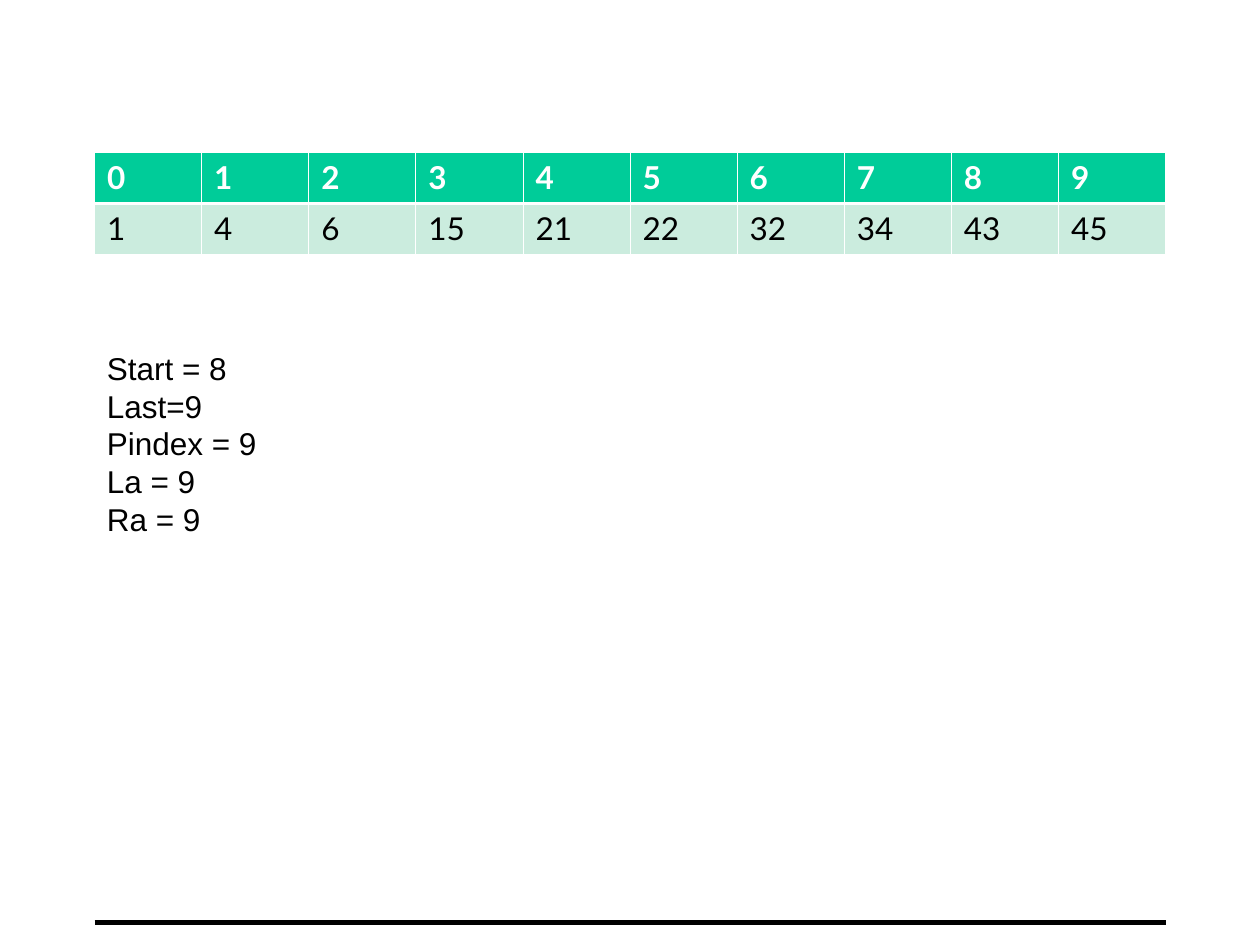
from lxml import etree
from pptx import Presentation
from pptx import util as u
from pptx.dml.color import RGBColor
from pptx.enum import shapes
from pptx.oxml import ns

COLORS = {"ink": "000000", "paper": "FFFFFF", "header": "00CC99", "band": "CBECDE"}
VALUES = [1, 4, 6, 15, 21, 22, 32, 34, 43, 45]
STATE = ["Start = 8", "Last=9", "Pindex = 9", "La = 9", "Ra = 9"]


def color(name):
    return RGBColor.from_string(COLORS[name])


def add_run(p, content, font, ink, bold=False):
    r = p.add_run()
    r.text = content
    r.font.name = font
    r.font.size = u.Pt(18)
    r.font.bold = bold
    r.font.color.rgb = color(ink)


def set_borders(cell, widths):
    tc_pr = cell._tc.get_or_add_tcPr()
    for side, width in widths.items():
        ln = etree.SubElement(tc_pr, ns.qn(f"a:ln{side}"), w=str(u.Pt(width)))
        fill = etree.SubElement(ln, ns.qn("a:solidFill"))
        etree.SubElement(fill, ns.qn("a:srgbClr"), val=COLORS["paper"])


def add_footer_rule(s, left, top, width):
    line = s.shapes.add_connector(
        shapes.MSO_CONNECTOR.STRAIGHT, left, top, left + width, top)
    line.line.color.rgb = color("ink")
    line.line.width = u.Pt(3)
    etree.SubElement(line._element.spPr, ns.qn("a:effectLst"))


def add_array_table(s, left, top, width, height):
    thin, thick = 0.45, 1.47
    rows = [
        (range(len(VALUES)), "header", "paper", True, thin, thick),
        (VALUES, "band", "ink", False, thick, thin),
    ]
    table = s.shapes.add_table(len(rows), len(VALUES), left, top, width, height).table
    for i, (numbers, fill, ink, bold, above, below) in enumerate(rows):
        for j, number in enumerate(numbers):
            cell = table.cell(i, j)
            set_borders(cell, {"L": thin, "R": thin, "T": above, "B": below})
            cell.fill.solid()
            cell.fill.fore_color.rgb = color(fill)
            add_run(cell.text_frame.paragraphs[0], str(number), "Lato", ink, bold)


def add_state_list(s, left, top, width, height):
    tf = s.shapes.add_textbox(left, top, width, height).text_frame
    tf.word_wrap = True
    for i, entry in enumerate(STATE):
        p = tf.add_paragraph() if i else tf.paragraphs[0]
        add_run(p, entry, "Arial", "ink")


def main():
    prs = Presentation()
    prs.slide_width, prs.slide_height = u.Inches(10), u.Inches(7.5)
    s = prs.slides.add_slide(prs.slide_layouts[6])
    left, width = u.Inches(0.75), u.Inches(8.5)
    add_footer_rule(s, left, u.Inches(7.32), width)
    add_array_table(s, left, u.Inches(1.21), width, u.Inches(0.81))
    add_state_list(s, left, u.Inches(2.72), u.Inches(8.67), u.Inches(1.6))
    prs.save("out.pptx")


if __name__ == "__main__":
    main()
